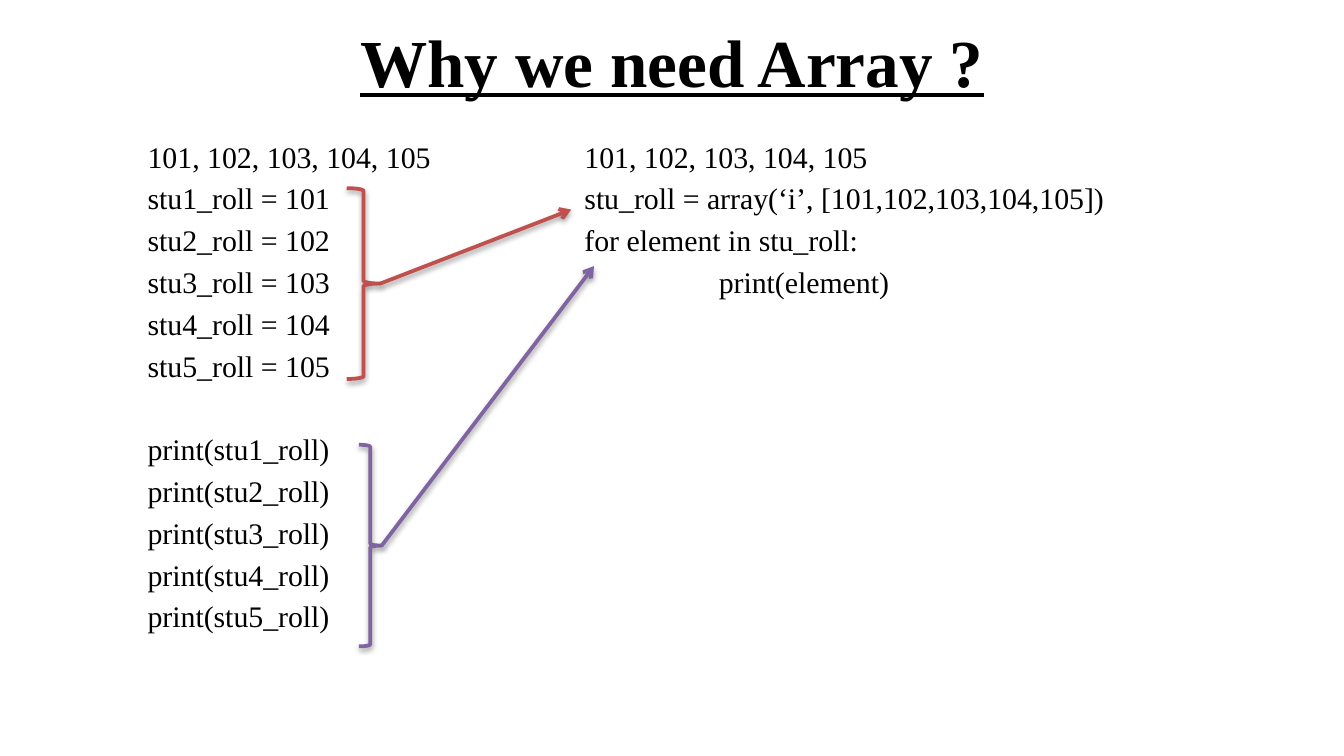
from dataclasses import dataclass

from lxml.etree import SubElement
from pptx import Presentation
from pptx.dml.color import RGBColor
from pptx.enum.shapes import MSO_CONNECTOR as Connector, MSO_SHAPE as Shape
from pptx.enum.text import MSO_ANCHOR as Anchor, PP_ALIGN as Align
from pptx.oxml.ns import qn
from pptx.slide import Slide
from pptx.util import Inches, Pt


@dataclass(frozen=True)
class Theme:
    font: str = "Times New Roman"
    text: RGBColor = RGBColor(0x00, 0x00, 0x00)
    red: RGBColor = RGBColor(0xC0, 0x50, 0x4D)
    purple: RGBColor = RGBColor(0x80, 0x64, 0xA2)
    shadow: str = "000000"
    title_size: int = 36
    body_size: int = 16
    body_gap: float = 3.2
    group_gap: float = 25.6
    line_width: float = 2


THEME = Theme()


@dataclass(frozen=True)
class Box:
    left: float
    top: float
    width: float
    height: float

    def lengths(self) -> list[Inches]:
        return [Inches(n) for n in (self.left, self.top, self.width, self.height)]


@dataclass(frozen=True)
class BraceArrow:
    """A brace around some lines, and the arrow from its point to their replacement."""
    brace: Box
    target: tuple[float, float]
    color: RGBColor


ROLLS = range(101, 106)
ROLL_LIST = ", ".join(str(roll) for roll in ROLLS)
ASSIGNMENTS = [f"stu{i}_roll = {roll}" for i, roll in enumerate(ROLLS, 1)]
PRINTS = [f"print(stu{i}_roll)" for i, _ in enumerate(ROLLS, 1)]
ARRAY_CODE = [
    "stu_roll = array(‘i’, [101,102,103,104,105])",
    "for element in stu_roll:",
    "\tprint(element)",
]
BRACE_ARROWS = [
    BraceArrow(Box(2.58, 1.4, 0.25, 1.42), (4.25, 1.56), THEME.red),
    BraceArrow(Box(2.67, 3.31, 0.17, 1.5), (4.42, 1.98), THEME.purple),
]


def add_tab_stop(paragraph, position: Inches) -> None:
    stops = SubElement(paragraph._p.get_or_add_pPr(), qn("a:tabLst"))
    SubElement(stops, qn("a:tab"), pos=str(position), algn="l")


def add_text(slide: Slide, box: Box, groups: list[list[str]], *,
             size: float = THEME.body_size, bold: bool = False,
             underline: bool = False, align: Align = Align.LEFT,
             anchor: Anchor = Anchor.TOP) -> None:
    """Write each group's lines as paragraphs, with a wider gap between groups."""
    frame = slide.shapes.add_textbox(*box.lengths()).text_frame
    frame.word_wrap = True
    frame.vertical_anchor = anchor
    for group_index, lines in enumerate(groups):
        for line_index, line in enumerate(lines):
            if group_index == line_index == 0:
                paragraph = frame.paragraphs[0]
            else:
                paragraph = frame.add_paragraph()
                gap = THEME.body_gap if line_index else THEME.group_gap
                paragraph.space_before = Pt(gap)
            paragraph.alignment = align
            if line.startswith("\t"):
                add_tab_stop(paragraph, Inches(1))
            run = paragraph.add_run()
            run.text = line
            run.font.name = THEME.font
            run.font.size = Pt(size)
            run.font.bold = bold
            run.font.underline = underline
            run.font.color.rgb = THEME.text


def add_shadow(properties) -> None:
    effects = SubElement(properties, qn("a:effectLst"))
    shadow = SubElement(effects, qn("a:outerShdw"), blurRad=str(Pt(3.1)),
                        dist=str(Pt(1.6)), dir="5400000", rotWithShape="0")
    color = SubElement(shadow, qn("a:srgbClr"), val=THEME.shadow)
    SubElement(color, qn("a:alpha"), val="38000")


def add_brace_arrow(slide: Slide, item: BraceArrow) -> None:
    box = item.brace
    brace = slide.shapes.add_shape(Shape.RIGHT_BRACE, *box.lengths())
    brace.fill.background()
    point = (box.left + box.width, box.top + box.height / 2)
    arrow = slide.shapes.add_connector(
        Connector.STRAIGHT, *(Inches(n) for n in point + item.target))
    for shape in (brace, arrow):
        shape.line.color.rgb = item.color
        shape.line.width = Pt(THEME.line_width)
    SubElement(arrow.line._get_or_add_ln(), qn("a:tailEnd"), type="arrow")
    for shape in (brace, arrow):
        add_shadow(shape._element.spPr)


def main() -> None:
    presentation = Presentation()
    presentation.slide_width = Inches(10)
    presentation.slide_height = Inches(10 * 9 / 16)
    slide = presentation.slides.add_slide(presentation.slide_layouts[6])
    add_text(slide, Box(0.5, -0.02, 9, 0.94), [["Why we need Array ?"]],
             size=THEME.title_size, bold=True, underline=True,
             align=Align.CENTER, anchor=Anchor.MIDDLE)
    add_text(slide, Box(1, 0.98, 3.08, 4.08), [[ROLL_LIST, *ASSIGNMENTS], PRINTS])
    add_text(slide, Box(4.25, 0.98, 5.25, 3.71), [[ROLL_LIST, *ARRAY_CODE]])
    for item in BRACE_ARROWS:
        add_brace_arrow(slide, item)
    presentation.save("out.pptx")


if __name__ == "__main__":
    main()
